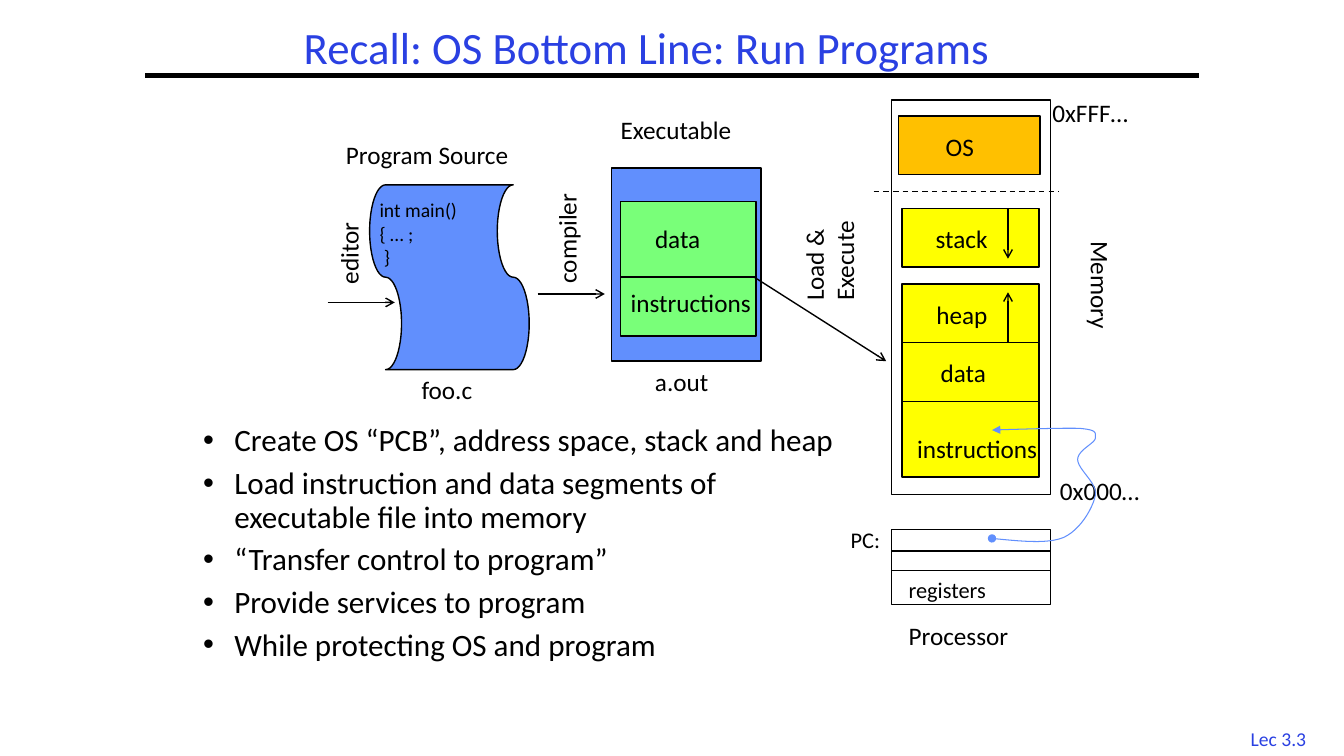
from lxml.etree import SubElement
from pptx import Presentation
from pptx.dml.color import RGBColor
from pptx.enum.dml import MSO_LINE
from pptx.enum.shapes import MSO_CONNECTOR, MSO_SHAPE
from pptx.enum.text import MSO_ANCHOR, MSO_AUTO_SIZE, PP_ALIGN
from pptx.oxml.ns import qn
from pptx.util import Inches, Pt

BLACK = RGBColor(0x00, 0x00, 0x00)
TITLE_BLUE = RGBColor(0x2A, 0x40, 0xE2)
BLUE = RGBColor(0x61, 0x8F, 0xFD)
GREEN = RGBColor(0x79, 0xFF, 0x79)
YELLOW = RGBColor(0xFF, 0xFF, 0x00)
ORANGE = RGBColor(0xFF, 0xC0, 0x00)

# Grid of 160 columns and 90 rows, each a twelfth of an inch
COLUMNS, ROWS = 160, 90
UNIT = Inches(1) / 12
LABEL_HEIGHT = 4.8

presentation = Presentation()
presentation.slide_width = int(COLUMNS * UNIT)
presentation.slide_height = int(ROWS * UNIT)
slide = presentation.slides.add_slide(presentation.slide_layouts[5])
shapes = slide.shapes


def add_text(text, left, top, width, height=LABEL_HEIGHT, shape=None, size=18,
             color=BLACK, align=PP_ALIGN.LEFT, anchor=MSO_ANCHOR.TOP, wrap=False,
             grow=True, rotation=0, spacing=None, space_before=0, bullet=None):
    box = [int(value * UNIT) for value in (left, top, width, height)]
    if shape is None:
        shape = shapes.add_textbox(*box)
    shape.left, shape.top, shape.width, shape.height = box
    shape.rotation = rotation
    frame = shape.text_frame
    frame.text = text
    frame.word_wrap = wrap
    frame.auto_size = MSO_AUTO_SIZE.SHAPE_TO_FIT_TEXT if grow else MSO_AUTO_SIZE.NONE
    frame.vertical_anchor = anchor
    for index, paragraph in enumerate(frame.paragraphs):
        paragraph.alignment = align
        paragraph.line_spacing = spacing
        if index and space_before:
            paragraph.space_before = Pt(space_before)
        if bullet:
            properties = paragraph._p.get_or_add_pPr()
            indent = Inches(0.31)
            properties.set("marL", str(indent))
            properties.set("indent", str(-indent))
            SubElement(properties, qn("a:buFont")).set("typeface", "Arial")
            SubElement(properties, qn("a:buChar")).set("char", bullet)
        paragraph.font.name = "Calibri"
        paragraph.font.size = Pt(size)
        paragraph.font.color.rgb = color


def style_line(shape, color=BLACK, width=1, head=None, tail=None, dash=None):
    shape.line.color.rgb = color
    shape.line.width = Pt(width)
    if dash:
        shape.line.dash_style = dash
    for tag, kind in (("a:headEnd", head), ("a:tailEnd", tail)):
        if kind:
            SubElement(shape.get_or_add_ln(), qn(tag)).set("type", kind)
    SubElement(shape.element.spPr, qn("a:effectLst"))


# Title and lecture number
add_text("Recall: OS Bottom Line: Run Programs", 30, 2.4, 94, 7, shape=shapes.title,
         size=32, color=TITLE_BLUE, align=PP_ALIGN.CENTER, anchor=MSO_ANCHOR.MIDDLE,
         wrap=True, grow=False, spacing=0.9)
add_text("Lec 3.3", 146.4, 85.9, 11.6, 4, size=14, color=TITLE_BLUE,
         align=PP_ALIGN.CENTER)

# Boxes: source file, executable, processor and memory
RECTANGLE = MSO_SHAPE.RECTANGLE
SEGMENT_LEFT, SEGMENT_WIDTH = 107.4, 16.3
for kind, left, top, width, height, fill, rotation in (
    (MSO_SHAPE.FLOWCHART_PUNCHED_TAPE, 42.5, 23.5, 22, 19, BLUE, 90),
    (RECTANGLE, 72.8, 20, 17.8, 23, BLUE, 0),
    (RECTANGLE, 73.9, 24, 16.1, 9, GREEN, 0),
    (RECTANGLE, 73.9, 33, 16.1, 7, GREEN, 0),
    (RECTANGLE, 106.1, 63, 19, 9, None, 0),
    (RECTANGLE, 106.1, 65.6, 19, 2.3, None, 0),
    (RECTANGLE, 106.1, 11.9, 19, 47, None, 0),
    (RECTANGLE, 107, 13.8, 16.8, 7, ORANGE, 0),
    (RECTANGLE, SEGMENT_LEFT, 24.8, SEGMENT_WIDTH, 7, YELLOW, 0),
    (RECTANGLE, SEGMENT_LEFT, 33.8, SEGMENT_WIDTH, 7, YELLOW, 0),
    (RECTANGLE, SEGMENT_LEFT, 40.8, SEGMENT_WIDTH, 7, YELLOW, 0),
    (RECTANGLE, SEGMENT_LEFT, 47.8, SEGMENT_WIDTH, 9, YELLOW, 0),
):
    box = shapes.add_shape(kind, *(int(v * UNIT) for v in (left, top, width, height)))
    box.rotation = rotation
    if fill is None:
        box.fill.background()
    else:
        box.fill.solid()
        box.fill.fore_color.rgb = fill
    style_line(box)

# Title rule, step arrows, growth arrows and the border of the OS area
for start_x, start_y, end_x, end_y, line_format in (
    (17.3, 9, 142.7, 9, {"width": 3}),
    (39, 36, 47, 36, {"tail": "arrow"}),
    (64, 35, 72, 35, {"tail": "arrow"}),
    (89.8, 33, 105.5, 43, {"tail": "arrow"}),
    (120, 24.8, 120, 30.8, {"tail": "arrow"}),
    (120, 40.8, 120, 34.8, {"tail": "arrow"}),
    (104, 22.8, 126, 22.8, {"dash": MSO_LINE.DASH}),
):
    ends = (int(v * UNIT) for v in (start_x, start_y, end_x, end_y))
    style_line(shapes.add_connector(MSO_CONNECTOR.STRAIGHT, *ends), **line_format)

# Labels
add_text("int main()\n{ … ;\n }", 44, 23, 12.8, 9.7, size=14)
for text, left, top, width in (
    ("Program Source", 40, 16, 24.5),
    ("foo.c", 49, 44, 9),
    ("Executable", 72.7, 13, 17.4),
    ("a.out", 76.8, 43, 9.1),
    ("data", 76.8, 26, 8.3),
    ("instructions", 73.9, 33.6, 17.8),
    ("0xFFF…", 124.1, 11, 14.2),
    ("0x000…", 125, 56, 13.7),
    ("OS", 111.4, 15, 6.8),
    ("stack", 110.2, 26, 9.5),
    ("heap", 110.3, 35, 9.1),
    ("data", 110.8, 42, 8.3),
    ("instructions", 108, 51, 17.8),
    ("Processor", 107, 73.2, 16.1),
):
    add_text(text, left, top, width)
add_text("PC:", 100.1, 62, 7, 4.4, size=16)
add_text("registers", 107, 68, 12.7, 4.4, size=16)
add_text("editor", 36.5, 27.6, 10, rotation=270)
add_text("compiler", 60.5, 25.6, 13.9, rotation=270)
add_text("Load & Execute", 91.3, 25.3, 14.9, 8.5, rotation=270, wrap=True)
add_text("Memory", 124.4, 31.8, 13.3, rotation=90)

# Curved pointer from the program counter to the instructions
STEPS = 12
pointer_points = [(118.1, 64.1)]
for control_1, control_2, end in (
    ((121.3, 64.4), (124.6, 64.8), (126.6, 64)),
    ((128.6, 63.1), (130.1, 60.5), (130.4, 59)),
    ((130.7, 57.5), (128.3, 55.9), (128.3, 54.7)),
    ((128.3, 53.6), (130.3, 52.8), (130.4, 52.2)),
    ((130.4, 51.5), (130.7, 51.2), (128.6, 51)),
    ((126.6, 50.9), (118.1, 51.2), (118.1, 51.2)),
):
    start = pointer_points[-1]
    for step in range(1, STEPS + 1):
        t = step / STEPS
        pointer_points.append(tuple(
            (1 - t) ** 3 * a + 3 * (1 - t) ** 2 * t * b + 3 * (1 - t) * t ** 2 * c + t ** 3 * d
            for a, b, c, d in zip(start, control_1, control_2, end)))
builder = shapes.build_freeform(*(int(v * UNIT) for v in pointer_points[0]))
builder.add_line_segments(
    [(int(x * UNIT), int(y * UNIT)) for x, y in pointer_points[1:]], close=False)
pointer = builder.convert_to_shape()
pointer.fill.background()
style_line(pointer, color=BLUE, width=0.75, head="oval", tail="triangle")

# Steps the OS takes
add_text("\n".join((
    "Create OS “PCB”, address space, stack and heap",
    "Load instruction and data segments of executable file into memory",
    "“Transfer control to program”",
    "Provide services to program",
    "While protecting OS and program",
)), 23, 50, 79.8, 33, size=22.2, wrap=True, grow=False, spacing=0.9,
    space_before=6.5, bullet="•")

presentation.save("out.pptx")
